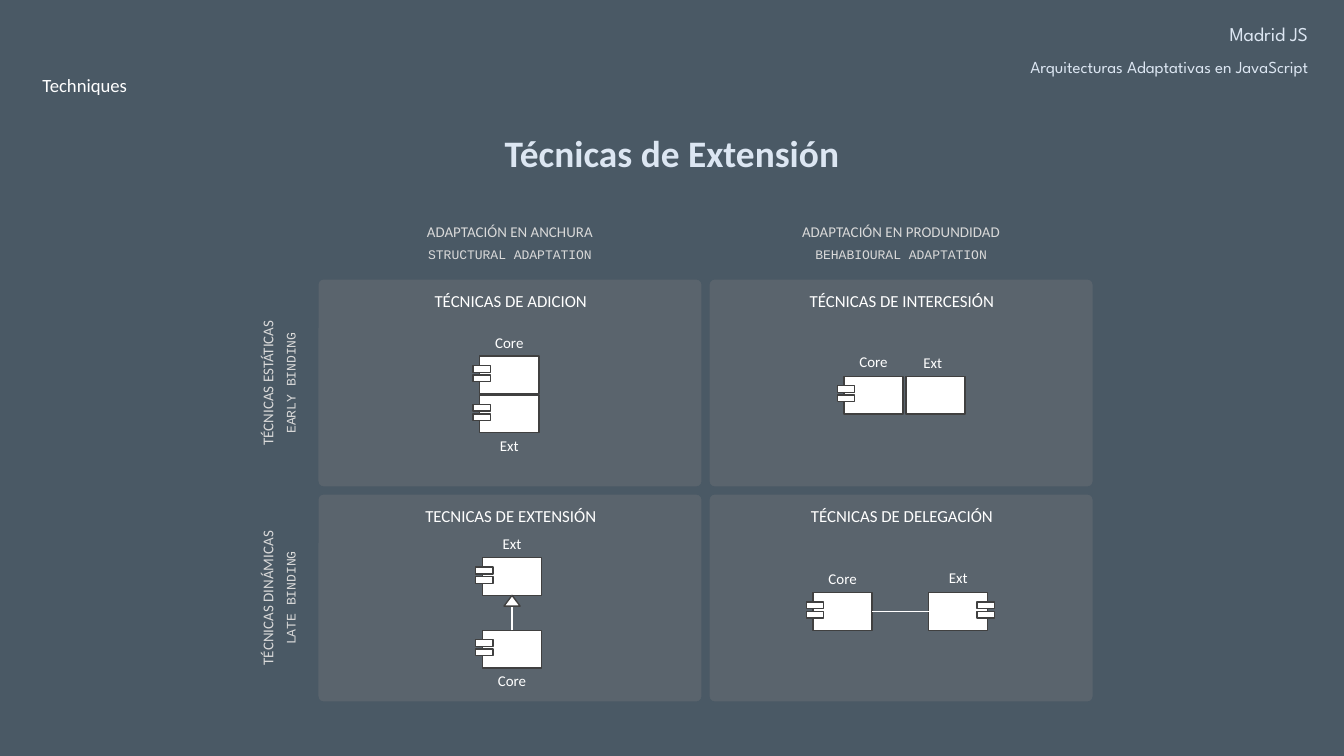
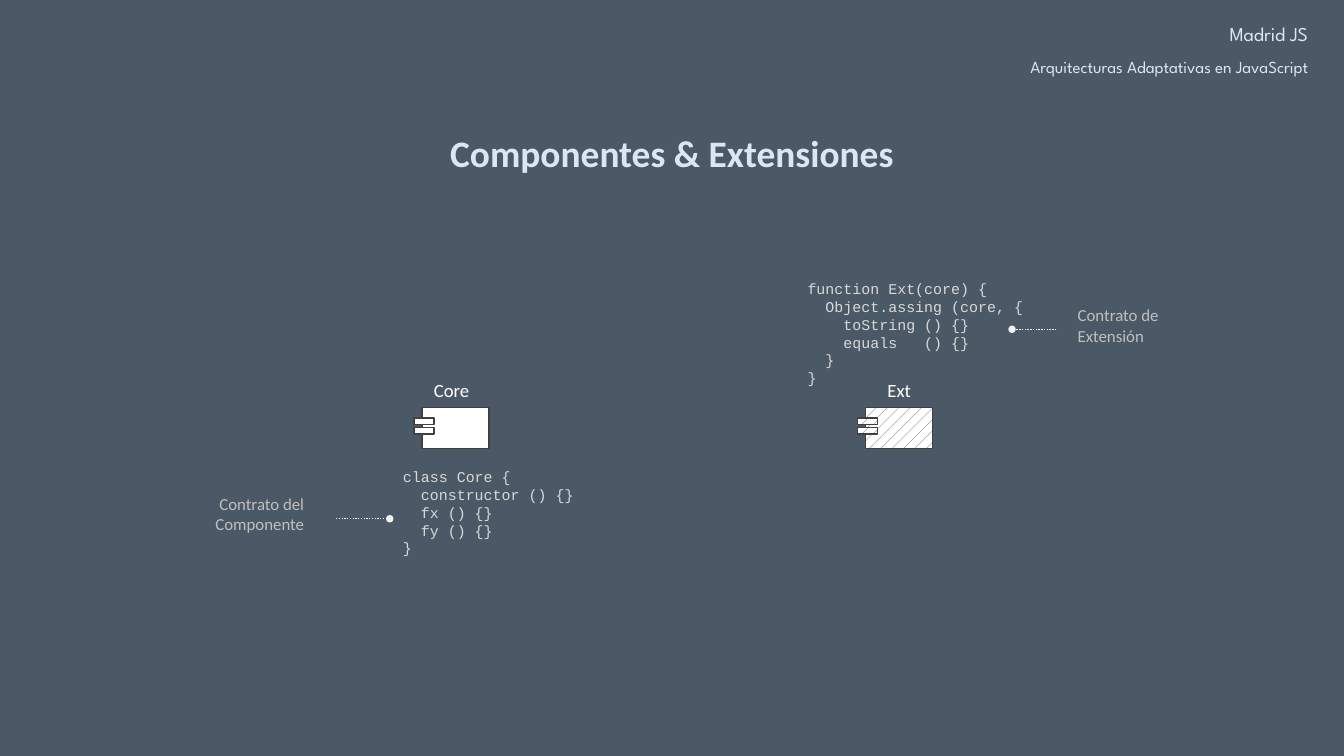
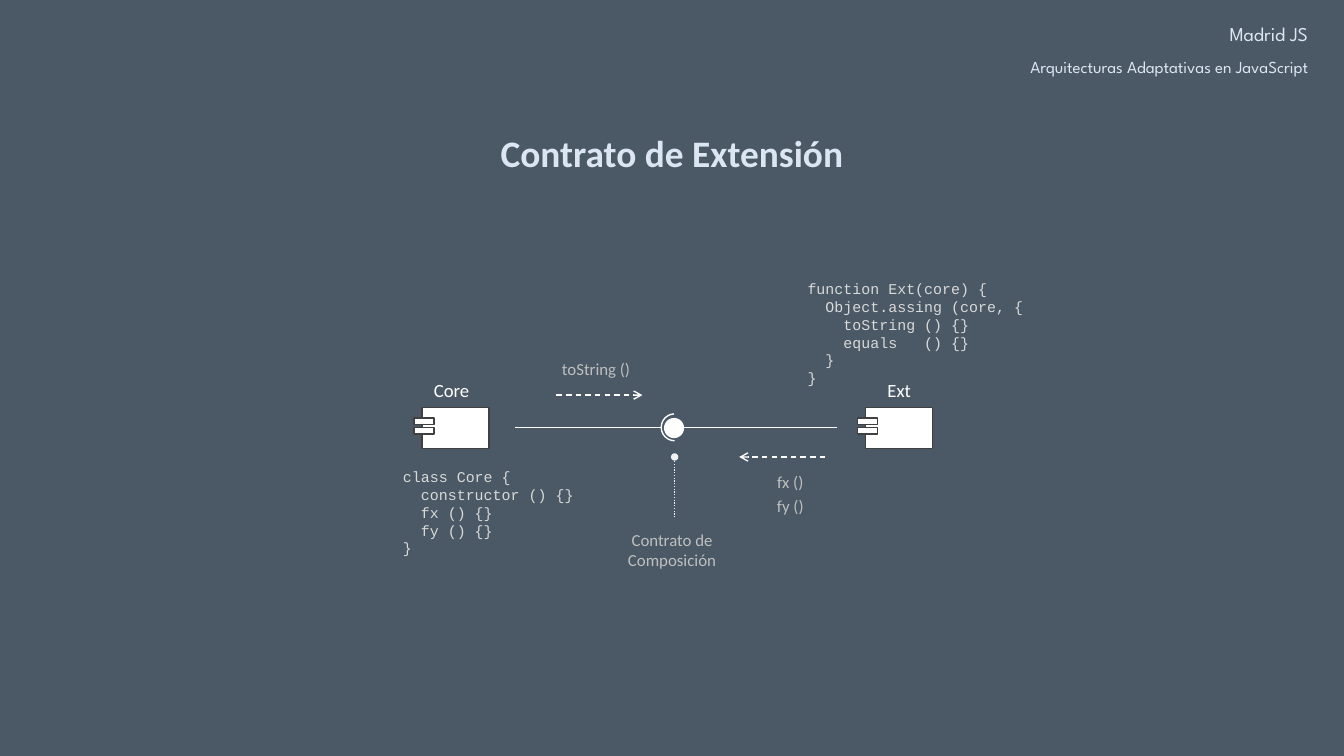
from dataclasses import dataclass, replace
from typing import NamedTuple, Optional, Sequence

import pptx
import pptx.dml.color
import pptx.enum.dml
import pptx.enum.shapes
import pptx.enum.text
import pptx.oxml.ns
import pptx.util
from lxml import etree

Inches = pptx.util.Inches
Pt = pptx.util.Pt
RGBColor = pptx.dml.color.RGBColor
PRESET = pptx.enum.shapes.MSO_SHAPE
ALIGN = pptx.enum.text.PP_ALIGN
ANCHOR = pptx.enum.text.MSO_ANCHOR
DASH = pptx.enum.dml.MSO_LINE
qn = pptx.oxml.ns.qn

NAVY = RGBColor(0x2B, 0x3C, 0x4B)
SLATE = RGBColor(0x4A, 0x59, 0x65)
ICE = RGBColor(0xDC, 0xE6, 0xF2)
WHITE = RGBColor(0xFF, 0xFF, 0xFF)
NEAR_WHITE = RGBColor(0xF2, 0xF2, 0xF2)
PALE_GRAY = RGBColor(0xD9, 0xD9, 0xD9)
SOFT_GRAY = RGBColor(0xBF, 0xBF, 0xBF)
MID_GRAY = RGBColor(0x80, 0x80, 0x80)
HATCH_GRAY = RGBColor(0x59, 0x59, 0x59)
OUTLINE = RGBColor(0x40, 0x40, 0x40)

SLIDE_WIDTH = 10
SLIDE_HEIGHT = SLIDE_WIDTH * 9 / 16


class Box(NamedTuple):
    left: float
    top: float
    width: float
    height: float

    def lengths(self) -> list:
        return [Inches(value) for value in self]


class Insets(NamedTuple):
    side: float
    top: float
    bottom: float


class TextStyle(NamedTuple):
    size: float
    color: RGBColor
    font: str = "Calibri"
    bold: bool = False


DEFAULT_INSETS = Insets(0.1, 0.05, 0.05)
LABEL_INSETS = Insets(0.1, 0, 0.05)
AXIS_INSETS = Insets(0.1, 0.08, 0.08)

TITLE = TextStyle(20, ICE, bold=True)
EVENT = TextStyle(10.5, ICE, "League Spartan")
TALK = TextStyle(9, ICE, "League Spartan")
AXIS_NAME = TextStyle(8, PALE_GRAY)
AXIS_DETAIL = TextStyle(7, PALE_GRAY, "Courier New")
CARD_NAME = TextStyle(9, WHITE)
SECTION = TextStyle(10, WHITE)
CODE = TextStyle(8, PALE_GRAY, "Courier New")
NOTE = TextStyle(9, SOFT_GRAY)


@dataclass(frozen=True)
class ComponentLook:
    width: float
    height: float
    tab_width: float
    tab_overhang: float
    tab_drops: tuple
    label_width: float
    label_style: TextStyle


SMALL = ComponentLook(0.44, 0.28, 0.13, 0.05, (0.07, 0.14), 0.44, TextStyle(8, WHITE))
LARGE = ComponentLook(0.5, 0.31, 0.15, 0.06, (0.08, 0.15), 0.62, TextStyle(10, WHITE))
TAB_HEIGHT = 0.05


@dataclass(frozen=True)
class Component:
    name: str
    left: float
    top: float
    label_top: float
    look: ComponentLook = SMALL
    label_shift: float = 0
    tabs: str = "left"
    hatched: bool = False


@dataclass(frozen=True)
class Link:
    start: tuple
    end: tuple
    color: RGBColor = WHITE
    dash: Optional[DASH] = None
    tail: Optional[str] = None


CARD_WIDTH, CARD_HEIGHT = 2.87, 1.56
CARD_LEFTS = (2.36, 5.27)
CARD_TOPS = (2.07, 3.67)
CARD_NAMES = (
    ("TÉCNICAS DE ADICION", "TÉCNICAS DE INTERCESIÓN"),
    ("TECNICAS DE EXTENSIÓN", "TÉCNICAS DE DELEGACIÓN"),
)
COLUMN_AXIS = (
    ("ADAPTACIÓN EN ANCHURA", "STRUCTURAL ADAPTATION"),
    ("ADAPTACIÓN EN PRODUNDIDAD", "BEHABIOURAL ADAPTATION"),
)
ROW_AXIS = (
    ("TÉCNICAS ESTÁTICAS", "EARLY BINDING"),
    ("TÉCNICAS DINÁMICAS", "LATE BINDING"),
)
AXIS_STYLES = (AXIS_NAME, AXIS_DETAIL)
LABEL_HEIGHT = 0.18

TECHNIQUE_COMPONENTS = (
    Component("Ext", 3.57, 2.94, 3.25),
    Component("Core", 3.57, 2.65, 2.48),
    Component("Core", 3.59, 4.69, 5),
    Component("Ext", 3.59, 4.15, 3.98),
    Component("Ext", 6.74, 2.8, 2.63, label_shift=-0.02, tabs="none"),
    Component("Core", 6.28, 2.8, 2.62),
    Component("Ext", 6.91, 4.41, 4.23, tabs="right"),
    Component("Core", 6.05, 4.41, 4.24),
)
CORE = Component("Core", 3.14, 3.03, 2.82, LARGE, -0.09)
EXTENSION = Component("Ext", 6.44, 3.03, 2.82, LARGE, -0.06)

CORE_CODE = (
    "class Core {",
    "  constructor () {}",
    "  fx () {}",
    "  fy () {}",
    "}",
)
EXTENSION_CODE = (
    "function Ext(core) {",
    "  Object.assing (core, {",
    "    toString () {}",
    "    equals   () {}",
    "  }",
    "}",
)


def write_paragraph(paragraph, text: str, style: TextStyle, align) -> None:
    paragraph.alignment = align
    run = paragraph.add_run()
    run.text = text
    run.font.size = Pt(style.size)
    run.font.name = style.font
    run.font.bold = style.bold
    run.font.color.rgb = style.color


def add_text(slide, box: Box, lines: Sequence[str], style: TextStyle,
             align=ALIGN.CENTER, insets: Insets = LABEL_INSETS,
             anchor=ANCHOR.TOP, gap: float = 0, rotation: float = 0):
    label = slide.shapes.add_textbox(*box.lengths())
    label.rotation = rotation
    frame = label.text_frame
    frame.word_wrap = True
    frame.vertical_anchor = anchor
    frame.margin_left = frame.margin_right = Inches(insets.side)
    frame.margin_top = Inches(insets.top)
    frame.margin_bottom = Inches(insets.bottom)
    for index, line in enumerate(lines):
        paragraph = frame.add_paragraph() if index else frame.paragraphs[0]
        if index and gap:
            paragraph.space_before = Pt(gap)
        write_paragraph(paragraph, line, style, align)
    return label


def add_figure(slide, preset, box: Box, fill: RGBColor,
               outline: Optional[RGBColor] = None, weight: float = 0.75,
               opacity: int = 100):
    figure = slide.shapes.add_shape(preset, *box.lengths())
    figure.shadow.inherit = False
    figure.fill.solid()
    figure.fill.fore_color.rgb = fill
    if opacity < 100:
        tint = figure.element.spPr.find(qn("a:solidFill"))[0]
        etree.SubElement(tint, qn("a:alpha")).set("val", str(opacity * 1000))
    if outline is None:
        figure.line.fill.background()
    else:
        figure.line.color.rgb = outline
        figure.line.width = Pt(weight)
    return figure


def add_link(slide, link: Link) -> None:
    ends = [Inches(value) for value in (*link.start, *link.end)]
    connector = slide.shapes.add_connector(
        pptx.enum.shapes.MSO_CONNECTOR.STRAIGHT, *ends)
    connector.line.color.rgb = link.color
    connector.line.width = Pt(0.75)
    if link.dash is not None:
        connector.line.dash_style = link.dash
    properties = connector.element.spPr
    if link.tail:
        stroke = properties.find(qn("a:ln"))
        tail = etree.SubElement(stroke, qn("a:tailEnd"))
        tail.set("type", link.tail)
        tail.set("w", "sm")
        tail.set("len", "sm")
    etree.SubElement(properties, qn("a:effectLst"))


def add_component(slide, component: Component) -> None:
    look = component.look
    parts = [Box(component.left, component.top, look.width, look.height)]
    if component.tabs != "none":
        tab_left = component.left - look.tab_overhang
        if component.tabs == "right":
            tab_left = (component.left + look.width
                        + look.tab_overhang - look.tab_width)
        parts += [Box(tab_left, component.top + drop, look.tab_width, TAB_HEIGHT)
                  for drop in look.tab_drops]
    for part in parts:
        figure = add_figure(slide, PRESET.RECTANGLE, part, WHITE, OUTLINE)
        if component.hatched:
            figure.fill.patterned()
            figure.fill.pattern = pptx.enum.dml.MSO_PATTERN.PERCENT_20
            figure.fill.fore_color.rgb = HATCH_GRAY
            figure.fill.back_color.rgb = WHITE
    label_box = Box(component.left + component.label_shift, component.label_top,
                    look.label_width, LABEL_HEIGHT)
    add_text(slide, label_box, [component.name], look.label_style)


def add_titled_slide(presentation, title: str, width: float):
    slide = presentation.slides.add_slide(presentation.slide_layouts[5])
    heading = slide.shapes.title
    box = Box((SLIDE_WIDTH - width) / 2, 0.92, width, 0.44)
    heading.left, heading.top, heading.width, heading.height = box.lengths()
    frame = heading.text_frame
    frame.auto_size = pptx.enum.text.MSO_AUTO_SIZE.NONE
    frame.word_wrap = False
    frame.vertical_anchor = ANCHOR.TOP
    write_paragraph(frame.paragraphs[0], title, TITLE, ALIGN.CENTER)
    return slide


def dress_layout(slide) -> None:
    backdrop = add_figure(slide, PRESET.RECTANGLE,
                          Box(0, 0, SLIDE_WIDTH, SLIDE_HEIGHT), NAVY, opacity=85)
    header = add_text(slide, Box(6.08, 0.15, 3.75, 0.35), ["Madrid JS"], EVENT,
                      ALIGN.RIGHT, DEFAULT_INSETS)
    header.text_frame.paragraphs[0].line_spacing = Pt(10)
    talk = header.text_frame.add_paragraph()
    talk.line_spacing = Pt(14.6)
    talk.space_before = Pt(2)
    write_paragraph(talk, "Arquitecturas Adaptativas en JavaScript", TALK, ALIGN.RIGHT)
    shared = slide.slide_layout.shapes.element
    shared.insert(2, backdrop.element)
    shared.insert(3, header.element)


def draw_techniques(slide) -> None:
    for row, top in enumerate(CARD_TOPS):
        for column, left in enumerate(CARD_LEFTS):
            card = add_figure(slide, PRESET.ROUNDED_RECTANGLE,
                              Box(left, top, CARD_WIDTH, CARD_HEIGHT),
                              MID_GRAY, SLATE, 1.5, opacity=30)
            card.adjustments[0] = 0.03
            add_text(slide, Box(left + 0.09, top + 0.08, 2.7, LABEL_HEIGHT),
                     [CARD_NAMES[row][column]], CARD_NAME,
                     insets=AXIS_INSETS, anchor=ANCHOR.MIDDLE)

    for level, style in enumerate(AXIS_STYLES):
        offset = 0.17 * level
        for left, names in zip(CARD_LEFTS, COLUMN_AXIS):
            add_text(slide, Box(left, 1.63 + offset, CARD_WIDTH, LABEL_HEIGHT),
                     [names[level]], style, insets=AXIS_INSETS, anchor=ANCHOR.MIDDLE)
        for top, names in zip(CARD_TOPS, ROW_AXIS):
            label_top = top + (CARD_HEIGHT - LABEL_HEIGHT) / 2
            add_text(slide, Box(1.21 + offset, label_top, CARD_HEIGHT, LABEL_HEIGHT),
                     [names[level]], style, insets=AXIS_INSETS,
                     anchor=ANCHOR.MIDDLE, rotation=270)

    for component in TECHNIQUE_COMPONENTS:
        add_component(slide, component)
    add_link(slide, Link((3.81, 4.69), (3.81, 4.43)))
    add_link(slide, Link((6.91, 4.55), (6.49, 4.55)))
    add_figure(slide, PRESET.ISOSCELES_TRIANGLE, Box(3.75, 4.43, 0.12, 0.08),
               WHITE, OUTLINE)
    add_text(slide, Box(0.14, 0.55, 0.98, LABEL_HEIGHT), ["Techniques"], SECTION)


def draw_core_and_extension(slide, hatched: bool) -> None:
    add_component(slide, CORE)
    add_component(slide, replace(EXTENSION, hatched=hatched))
    add_text(slide, Box(2.9, 3.43, 1.5, 0.77), CORE_CODE, CODE,
             ALIGN.LEFT, DEFAULT_INSETS)
    add_text(slide, Box(5.91, 2.03, 1.82, 0.91), EXTENSION_CODE, CODE,
             ALIGN.LEFT, DEFAULT_INSETS)


def draw_contracts(slide) -> None:
    draw_core_and_extension(slide, hatched=True)
    add_link(slide, Link((2.5, 3.86), (2.9, 3.86), NEAR_WHITE, DASH.ROUND_DOT, "oval"))
    add_link(slide, Link((7.86, 2.45), (7.53, 2.45), NEAR_WHITE, DASH.ROUND_DOT, "oval"))
    add_text(slide, Box(1.42, 3.67, 0.94, LABEL_HEIGHT),
             ["Contrato del Componente"], NOTE, ALIGN.RIGHT)
    add_text(slide, Box(7.92, 2.27, 0.94, LABEL_HEIGHT),
             ["Contrato de Extensión"], NOTE, ALIGN.LEFT)


def draw_composition(slide) -> None:
    add_link(slide, Link((6.23, 3.18), (3.83, 3.18)))
    socket = add_figure(slide, PRESET.ARC, Box(4.92, 3.08, 0.2, 0.2), SLATE, WHITE)
    socket.adjustments[0] = 54
    socket.adjustments[1] = 160.2
    add_figure(slide, PRESET.OVAL, Box(4.94, 3.11, 0.15, 0.15), WHITE)
    add_link(slide, Link((5.02, 3.85), (5.02, 3.4), NEAR_WHITE, DASH.ROUND_DOT, "oval"))
    add_text(slide, Box(4.53, 3.94, 0.94, LABEL_HEIGHT),
             ["Contrato de Composición"], NOTE)
    add_link(slide, Link((4.14, 2.94), (4.78, 2.94), dash=DASH.DASH, tail="arrow"))
    add_text(slide, Box(4.06, 2.67, 0.75, LABEL_HEIGHT), ["toString ()"], NOTE)
    add_link(slide, Link((6.14, 3.4), (5.5, 3.4), dash=DASH.DASH, tail="arrow"))
    add_text(slide, Box(5.63, 3.51, 0.5, LABEL_HEIGHT), ["fx ()", "fy ()"], NOTE, gap=2)
    draw_core_and_extension(slide, hatched=False)


def main() -> None:
    presentation = pptx.Presentation()
    presentation.slide_width = Inches(SLIDE_WIDTH)
    presentation.slide_height = Inches(SLIDE_HEIGHT)

    techniques = add_titled_slide(presentation, "Técnicas de Extensión", 4.08)
    dress_layout(techniques)
    draw_techniques(techniques)
    draw_contracts(add_titled_slide(presentation, "Componentes & Extensiones", 3.53))
    draw_composition(add_titled_slide(presentation, "Contrato de Extensión", 2.77))

    presentation.save("out.pptx")


if __name__ == "__main__":
    main()
